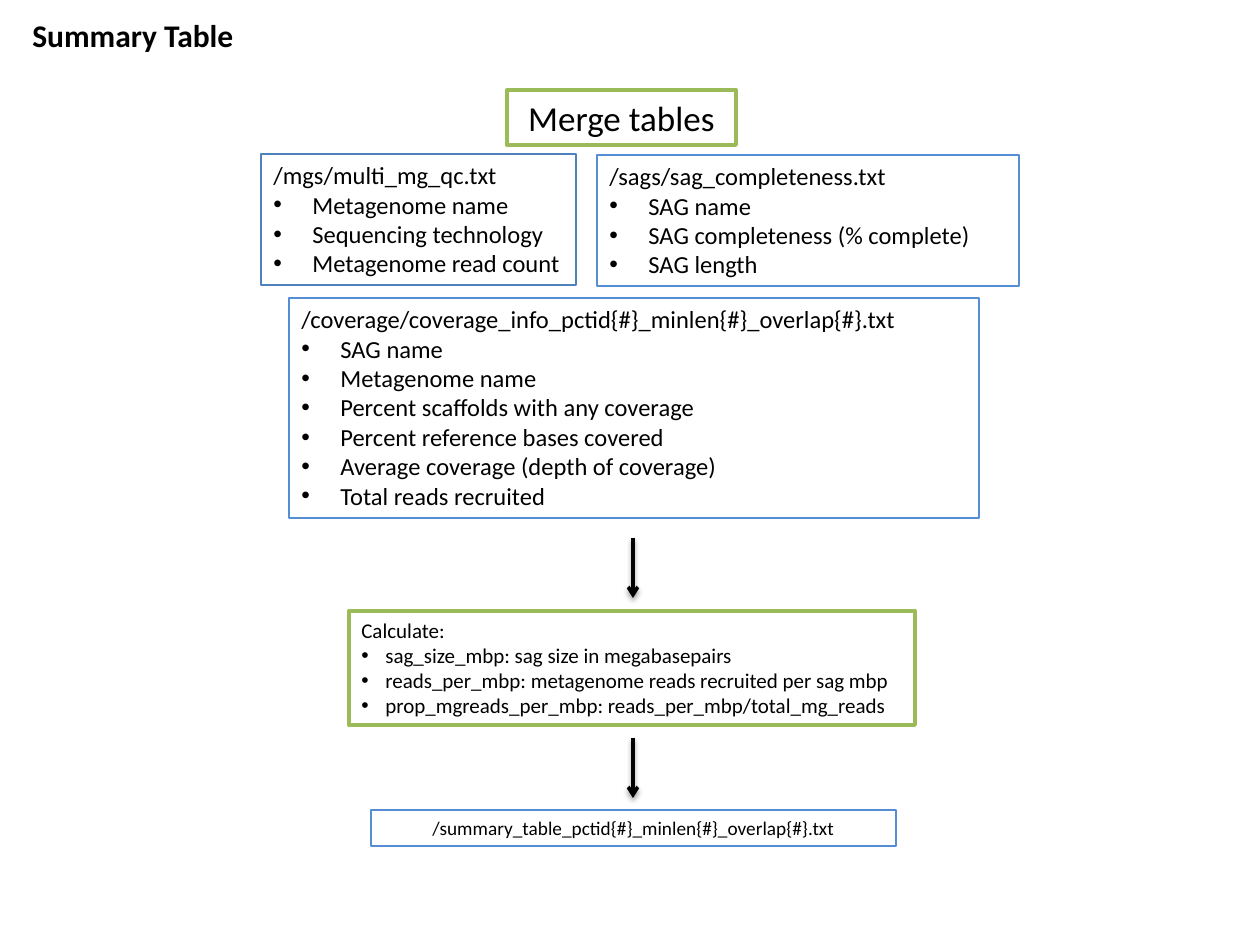
from dataclasses import dataclass

from lxml import etree
from pptx import Presentation
from pptx.dml.color import RGBColor
from pptx.enum.shapes import MSO_CONNECTOR
from pptx.enum.text import MSO_ANCHOR, MSO_AUTO_SIZE, PP_ALIGN
from pptx.oxml.ns import qn
from pptx.util import Emu, Pt

STRAIGHT = MSO_CONNECTOR.STRAIGHT
TOP = MSO_ANCHOR.TOP
FIT = MSO_AUTO_SIZE.SHAPE_TO_FIT_TEXT
LEFT, CENTER = PP_ALIGN.LEFT, PP_ALIGN.CENTER
PX_PER_INCH = 126
BLANK_LAYOUT = 6


@dataclass(frozen=True)
class Theme:
    font: str = "Calibri"
    ink: str = "000000"
    source_line: str = "4F81BD"
    file_line: str = "558ED5"
    step_line: str = "9BBB59"
    title: int = 18
    step: int = 20
    table: int = 14
    calc: int = 12
    result: int = 11
    file_width: float = 1.5
    step_width: float = 2.25
    arrow_width: float = 2


THEME = Theme()


def px(n):
    return Emu(round(n * 914400 / PX_PER_INCH))


def color(code):
    return RGBColor.from_string(code)


def add_text(slide, box, text, size, bold=False, align=LEFT):
    """Text box holding one line of text."""
    s = slide.shapes.add_textbox(*map(px, box))
    tf = s.text_frame
    tf.word_wrap = True
    tf.auto_size = FIT
    tf.vertical_anchor = TOP
    add_run(tf.paragraphs[0], text, size, bold, align)
    return s


def add_run(p, text, size, bold=False, align=LEFT):
    p.alignment = align
    r = p.add_run()
    r.text = text
    r.font.name = THEME.font
    r.font.size = Pt(size)
    r.font.bold = bold
    r.font.color.rgb = color(THEME.ink)


def outline(s, line, width):
    s.line.color.rgb = color(line)
    s.line.width = Pt(width)


def add_bullets(s, items, size, indent):
    for item in items:
        p = s.text_frame.add_paragraph()
        add_run(p, item, size)
        pPr = p._p.get_or_add_pPr()
        pPr.set("marL", str(px(indent)))
        pPr.set("indent", str(-px(indent)))
        etree.SubElement(pPr, qn("a:buFont"), typeface="Arial")
        etree.SubElement(pPr, qn("a:buChar"), char="•")


def add_arrow(slide, x, top, bottom):
    """Downward arrow with a soft shadow."""
    s = slide.shapes.add_connector(STRAIGHT, px(x), px(top), px(x), px(bottom))
    outline(s, THEME.ink, THEME.arrow_width)
    etree.SubElement(s.line._get_or_add_ln(), qn("a:tailEnd"), type="arrow")
    effects = etree.SubElement(s._element.spPr, qn("a:effectLst"))
    shadow = etree.SubElement(
        effects, qn("a:outerShdw"), blurRad=str(Pt(3.1)), dist=str(Pt(1.6)),
        dir="5400000", rotWithShape="0")
    ink = etree.SubElement(shadow, qn("a:srgbClr"), val=THEME.ink)
    etree.SubElement(ink, qn("a:alpha"), val="38000")


def main():
    prs = Presentation()
    prs.slide_width, prs.slide_height = px(1260), px(945)
    slide = prs.slides.add_slide(prs.slide_layouts[BLANK_LAYOUT])

    add_text(slide, (20, 10, 305, 50), "Summary Table", THEME.title, bold=True)

    # Input tables
    tables = [
        ((261, 154, 315, 131), THEME.source_line, "/mgs/multi_mg_qc.txt",
         ["Metagenome name", "Sequencing technology", "Metagenome read count"]),
        ((289, 298, 690, 220), THEME.file_line,
         "/coverage/coverage_info_pctid{#}_minlen{#}_overlap{#}.txt",
         ["SAG name", "Metagenome name", "Percent scaffolds with any coverage",
          "Percent reference bases covered",
          "Average coverage (depth of coverage)", "Total reads recruited"]),
        ((597, 155, 422, 131), THEME.file_line, "/sags/sag_completeness.txt",
         ["SAG name", "SAG completeness (% complete)", "SAG length"]),
    ]
    for box, line, heading, columns in tables:
        s = add_text(slide, box, heading, THEME.table)
        outline(s, line, THEME.file_width)
        add_bullets(s, columns, THEME.table, 39)

    # Processing steps
    s = add_text(slide, (507, 90, 229, 55), "Merge tables", THEME.step, align=CENTER)
    outline(s, THEME.step_line, THEME.step_width)
    s = add_text(slide, (349, 611, 566, 114), "Calculate:", THEME.calc)
    outline(s, THEME.step_line, THEME.step_width)
    add_bullets(s, [
        "sag_size_mbp: sag size in megabasepairs",
        "reads_per_mbp: metagenome reads recruited per sag mbp",
        "prop_mgreads_per_mbp: reads_per_mbp/total_mg_reads",
    ], THEME.calc, 24)

    # Result file
    s = add_text(slide, (371, 810, 525, 36),
                 "/summary_table_pctid{#}_minlen{#}_overlap{#}.txt",
                 THEME.result, align=CENTER)
    outline(s, THEME.file_line, THEME.file_width)

    # Flow
    for top in (538, 738):
        add_arrow(slide, 633, top, top + 60)

    prs.save("out.pptx")


if __name__ == "__main__":
    main()
